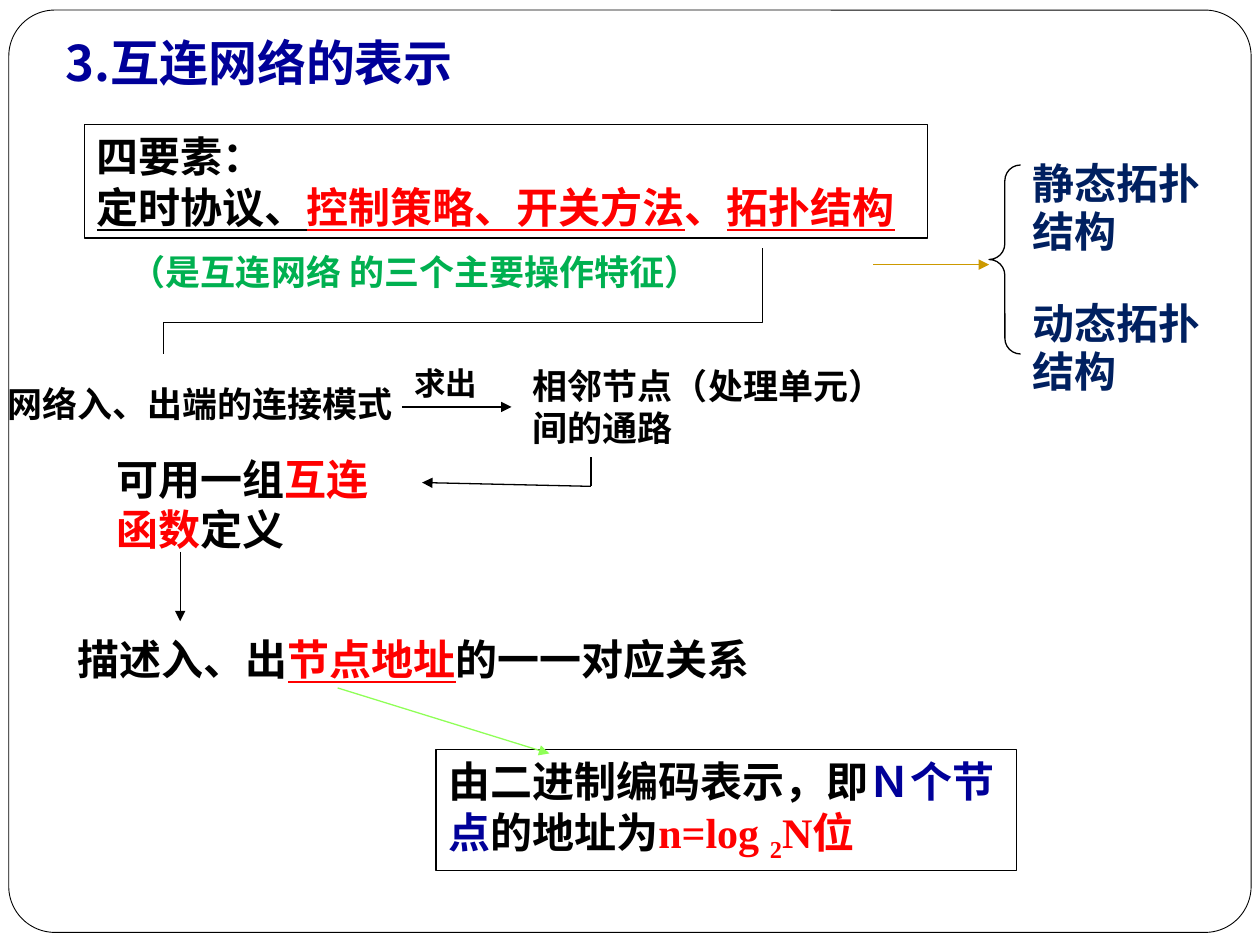
import dataclasses
import typing

import pptx
import pptx.dml.color
import pptx.enum.shapes
import pptx.enum.text
import pptx.oxml.ns
import pptx.util
import lxml.etree

COLUMNS, ROWS = 100, 75
CELL = pptx.util.Inches(0.1)
LATIN = "Times New Roman"
CHINESE = "Noto Sans CJK SC"
BLACK, RED, BLUE = "000000", "FF0000", "000099"
NAVY, GREEN, GOLD, LIME = "002060", "00B050", "CC9900", "8FFF57"
SHAPES = pptx.enum.shapes.MSO_SHAPE


@dataclasses.dataclass
class Piece:
    text: str
    color: str = BLACK
    underline: bool = False
    subscript: bool = False


@dataclasses.dataclass
class Label:
    column: float
    row: float
    width: float
    height: float
    size: float
    paragraphs: list[list[Piece]]
    framed: bool = False
    spacing: float = 1.0
    font: str = LATIN


@dataclasses.dataclass
class Line:
    start: tuple[float, float]
    end: tuple[float, float]
    color: str = BLACK
    arrow: bool = True


TITLE = Label(4.2, 2.1, 49.7, 5.7, 28, [[Piece("3.互连网络的表示", BLUE)]], font=CHINESE)

LABELS = [
    Label(81, 12.3, 17.3, 8.6, 24, [[Piece("静态拓扑结构", NAVY)]], spacing=0.95),
    Label(81, 23.4, 17.7, 8.6, 24, [[Piece("动态拓扑结构", NAVY)]], spacing=0.95),
    Label(-0.4, 29.9, 33.9, 4.4, 20, [[Piece("网络入、出端的连接模式")]]),
    Label(41.3, 28.4, 31.5, 7.7, 20, [[Piece("相邻节点（处理单元）间的通路")]]),
    Label(31.9, 28.4, 7.1, 4, 18, [[Piece("求出")]]),
    Label(8.3, 35.5, 24.4, 9, 24, [
        [Piece("可用一组"), Piece("互连函数", RED), Piece("定义")],
    ]),
    Label(5.2, 49.8, 69.2, 5, 24, [
        [Piece("描述入、出"), Piece("节点地址", RED, True), Piece("的一一对应关系")],
    ]),
    Label(6.7, 9.9, 66.9, 9, 24, [
        [Piece("四要素：")],
        [Piece("定时协议、", underline=True), Piece("控制策略、开关方法", RED, True),
         Piece("、", RED), Piece("拓扑结构", RED, True)],
    ], framed=True),
    Label(34.6, 59.5, 46.1, 9.6, 24, [
        [Piece("由二进制编码表示，即"), Piece("Ｎ个节点", BLUE), Piece("的地址为"),
         Piece("n=log ", RED), Piece("2", RED, subscript=True), Piece("N位", RED)],
    ], framed=True),
    Label(9.4, 19.4, 51, 4.4, 20, [[Piece("（是互连网络 的三个主要操作特征）", GREEN)]]),
]

LINES = [
    Line((31.9, 32.3), (40.6, 32.3)),
    Line((46.9, 36.3), (46.9, 38.6), arrow=False),
    Line((46.9, 38.6), (33.5, 38.3)),
    Line((14.3, 43.8), (14.3, 49.3)),
    Line((69.3, 21), (78.5, 21), GOLD),
    Line((26.8, 54.6), (43.6, 59.8), LIME),
]

TOPOLOGY_ROUTE = [(60.5, 19.7), (60.5, 25.6), (13, 25.6), (13, 28.1)]


def cells(*counts: float) -> list[int]:
    return [round(count * CELL) for count in counts]


def rgb(color: str) -> pptx.dml.color.RGBColor:
    return pptx.dml.color.RGBColor.from_string(color)


def add_child(parent: typing.Any, tag: str, **attributes: str) -> None:
    child = lxml.etree.SubElement(parent, pptx.oxml.ns.qn(tag))
    for name, value in attributes.items():
        child.set(name, value)


def style_line(line: typing.Any, color: str, width: float = 0.75) -> None:
    line.color.rgb = rgb(color)
    line.width = pptx.util.Pt(width)


def style_outline(shape: typing.Any, width: float = 0.75) -> None:
    shape.shadow.inherit = False
    shape.fill.background()
    style_line(shape.line, BLACK, width)


def fill_text(shape: typing.Any, label: Label) -> None:
    frame = shape.text_frame
    frame.word_wrap = True
    frame.auto_size = pptx.enum.text.MSO_AUTO_SIZE.SHAPE_TO_FIT_TEXT
    frame.vertical_anchor = pptx.enum.text.MSO_ANCHOR.TOP
    for index, pieces in enumerate(label.paragraphs):
        paragraph = frame.add_paragraph() if index else frame.paragraphs[0]
        paragraph.alignment = pptx.enum.text.PP_ALIGN.LEFT
        paragraph.line_spacing = label.spacing
        paragraph.space_before = pptx.util.Pt(0)
        for piece in pieces:
            run = paragraph.add_run()
            run.text = piece.text
            run.font.size = pptx.util.Pt(label.size)
            run.font.bold = True
            run.font.underline = piece.underline
            run.font.color.rgb = rgb(piece.color)
            run.font.name = label.font
            properties = run._r.get_or_add_rPr()
            add_child(properties, "a:ea", typeface=CHINESE)
            if piece.subscript:
                properties.set("baseline", "-25000")


def add_title(slide: typing.Any, label: Label) -> None:
    title = slide.shapes.title
    title.left, title.top, title.width, title.height = cells(
        label.column, label.row, label.width, label.height)
    fill_text(title, label)


def add_label(slide: typing.Any, label: Label) -> None:
    box = cells(label.column, label.row, label.width, label.height)
    if label.framed:
        shape = slide.shapes.add_shape(SHAPES.RECTANGLE, *box)
        style_outline(shape)
    else:
        shape = slide.shapes.add_textbox(*box)
    fill_text(shape, label)


def add_line(slide: typing.Any, line: Line) -> None:
    connector = slide.shapes.add_connector(
        pptx.enum.shapes.MSO_CONNECTOR.STRAIGHT, *cells(*line.start, *line.end))
    style_line(connector.line, line.color)
    if line.arrow:
        add_child(connector.line._get_or_add_ln(), "a:tailEnd", type="triangle")
    add_child(connector._element.spPr, "a:effectLst")


def add_route(slide: typing.Any, points: list[tuple[float, float]]) -> None:
    start, *corners = [tuple(cells(*point)) for point in points]
    builder = slide.shapes.build_freeform(*start)
    builder.add_line_segments(corners, close=False)
    style_outline(builder.convert_to_shape())


def main() -> None:
    presentation = pptx.Presentation()
    presentation.slide_width, presentation.slide_height = cells(COLUMNS, ROWS)
    slide = presentation.slides.add_slide(presentation.slide_layouts[5])
    border = slide.shapes.add_shape(SHAPES.ROUNDED_RECTANGLE, *cells(0.7, 0.8, 98.6, 73.2))
    border.adjustments[0] = 0.05
    style_outline(border, 0.5)
    border.fill.solid()
    border.fill.fore_color.rgb = rgb("FFFFFF")
    slide.shapes.title._element.addprevious(border._element)
    add_title(slide, TITLE)
    brace = slide.shapes.add_shape(SHAPES.LEFT_BRACE, *cells(78.5, 13.1, 2.5, 15))
    brace.adjustments[0] = 0.5
    style_outline(brace)
    for label in LABELS:
        add_label(slide, label)
    for line in LINES:
        add_line(slide, line)
    add_route(slide, TOPOLOGY_ROUTE)
    presentation.save("out.pptx")


if __name__ == "__main__":
    main()
